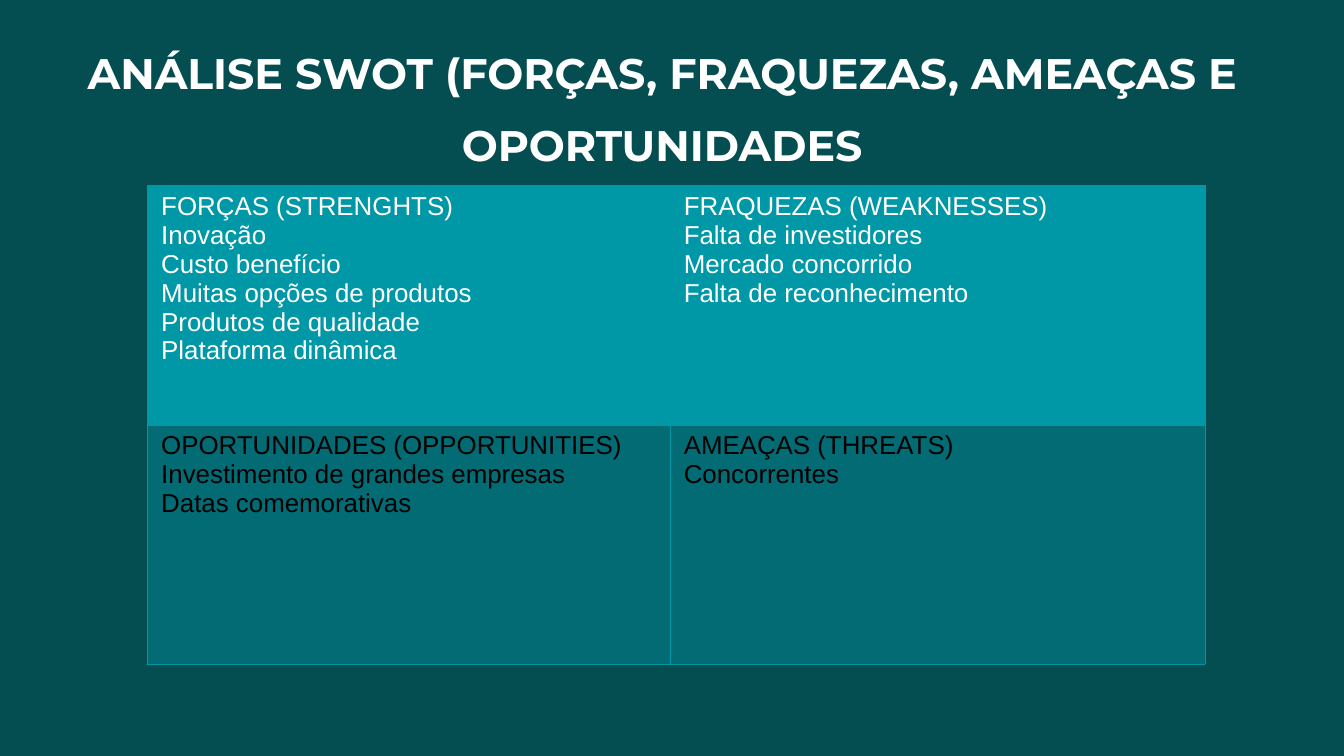
from lxml.etree import SubElement
from pptx import Presentation
from pptx.dml.color import RGBColor
from pptx.enum.text import MSO_ANCHOR, PP_ALIGN
from pptx.oxml.ns import qn
from pptx.util import Inches, Pt

TEAL = "0097A7"
WHITE = "FFFFFF"


def paint(fill, color):
    fill.solid()
    fill.fore_color.rgb = RGBColor.from_string(color)


def write(paragraph, text, font, size, color, bold):
    span = paragraph.add_run()
    span.text = text
    span.font.name = font
    span.font.size = Pt(size)
    span.font.bold = bold
    span.font.color.rgb = RGBColor.from_string(color)


deck = Presentation()
deck.slide_width = Inches(26.67)
deck.slide_height = Inches(15)
page = deck.slides.add_slide(deck.slide_layouts[5])
paint(page.background.fill, "044E52")

title = page.shapes.title
title.left, title.top = Inches(0.8), Inches(0.26)
title.width, title.height = Inches(24.68), Inches(3)
frame = title.text_frame
frame.word_wrap = True
frame.vertical_anchor = MSO_ANCHOR.TOP
frame.margin_left = frame.margin_right = Inches(0.27)
frame.margin_top = frame.margin_bottom = Inches(0.27)
heading = frame.paragraphs[0]
heading.alignment = PP_ALIGN.CENTER
heading.line_spacing = 1.4
write(heading, "ANÁLISE SWOT (FORÇAS, FRAQUEZAS, AMEAÇAS E OPORTUNIDADES",
      "Montserrat", 61, WHITE, True)

swot = [
    [
        ["FORÇAS (STRENGHTS)", "Inovação", "Custo benefício",
         "Muitas opções de produtos", "Produtos de qualidade",
         "Plataforma dinâmica"],
        ["FRAQUEZAS (WEAKNESSES)", "Falta de investidores",
         "Mercado concorrido", "Falta de reconhecimento"],
    ],
    [
        ["OPORTUNIDADES (OPPORTUNITIES)", "Investimento de grandes empresas",
         "Datas comemorativas"],
        ["AMEAÇAS (THREATS)", "Concorrentes"],
    ],
]
text_colors = [WHITE, "000000"]
opacities = [100, 40]

table = page.shapes.add_table(2, 2, Inches(2.93), Inches(3.68),
                              Inches(20.98), Inches(9.5)).table
table.first_row = False
table.horz_banding = False
for column, width in zip(table.columns, [10.37, 10.61]):
    column.width = Inches(width)

for row, quadrants in enumerate(swot):
    table.rows[row].height = Inches(4.75)
    for column, lines in enumerate(quadrants):
        cell = table.cell(row, column)
        cell.vertical_anchor = MSO_ANCHOR.TOP
        cell.margin_left = cell.margin_right = Inches(0.27)
        cell.margin_top = cell.margin_bottom = Inches(0.13)

        properties = cell._tc.get_or_add_tcPr()
        for side in ["lnL", "lnR", "lnT", "lnB"]:
            border = SubElement(properties, qn("a:" + side), w=str(Pt(0.75)))
            border_fill = SubElement(border, qn("a:solidFill"))
            SubElement(border_fill, qn("a:srgbClr"), val=TEAL)
        paint(cell.fill, TEAL)
        if opacities[row] < 100:
            color = properties.find(qn("a:solidFill")).find(qn("a:srgbClr"))
            SubElement(color, qn("a:alpha"), val=str(opacities[row] * 1000))

        for index, line in enumerate(lines):
            body = cell.text_frame
            paragraph = body.add_paragraph() if index else body.paragraphs[0]
            write(paragraph, line, "Arial", 37, text_colors[row], False)

deck.save("out.pptx")
